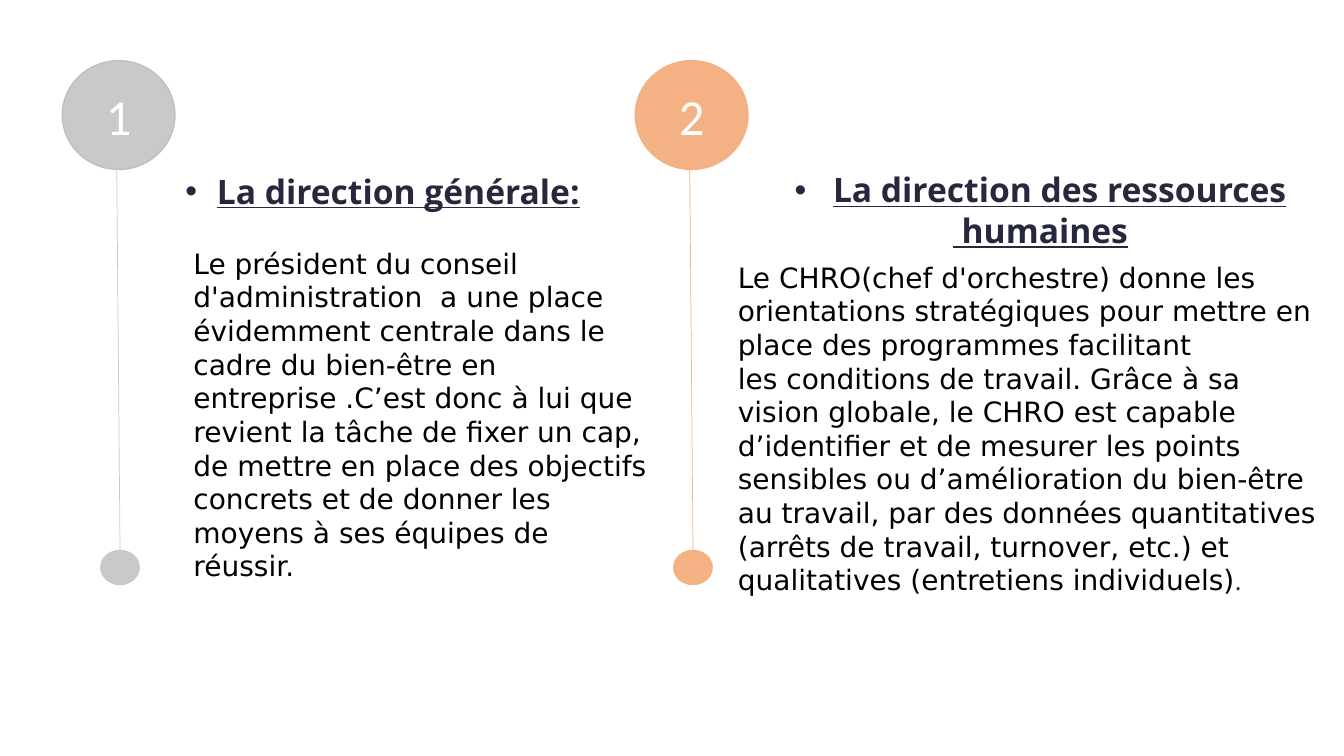
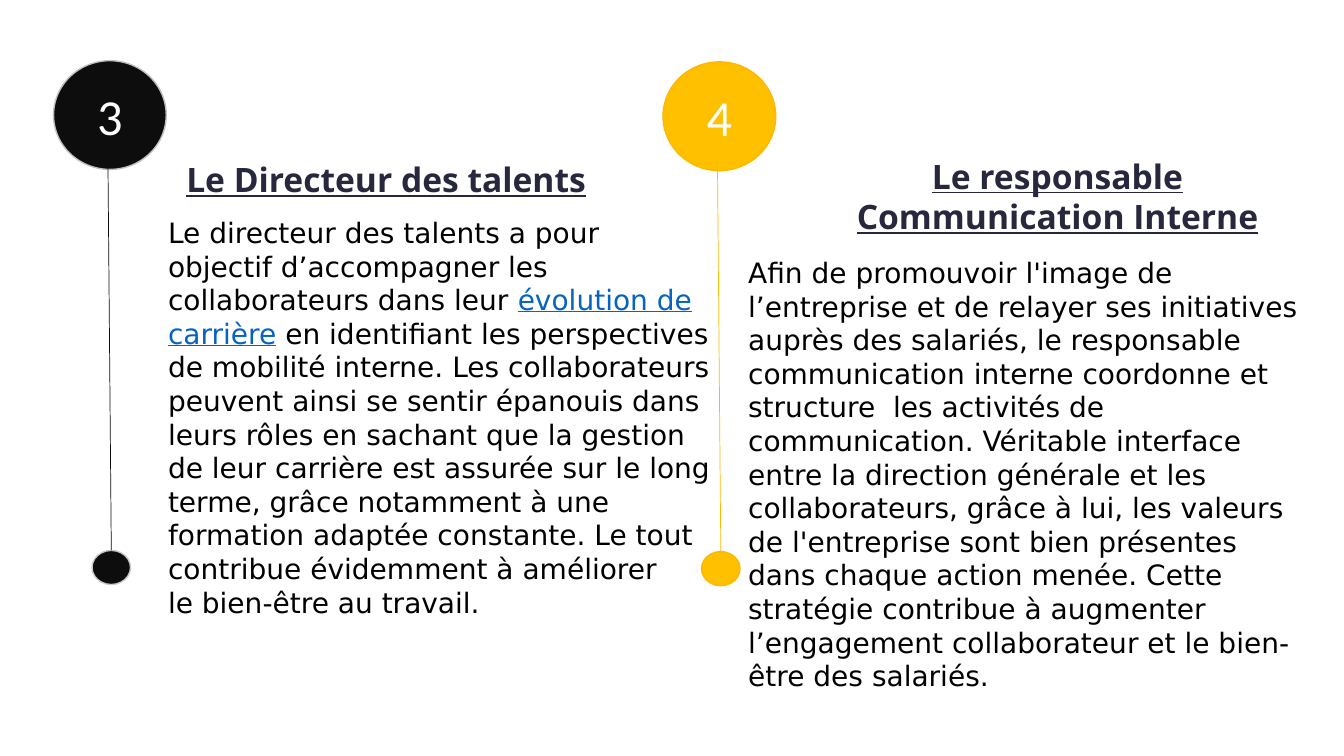
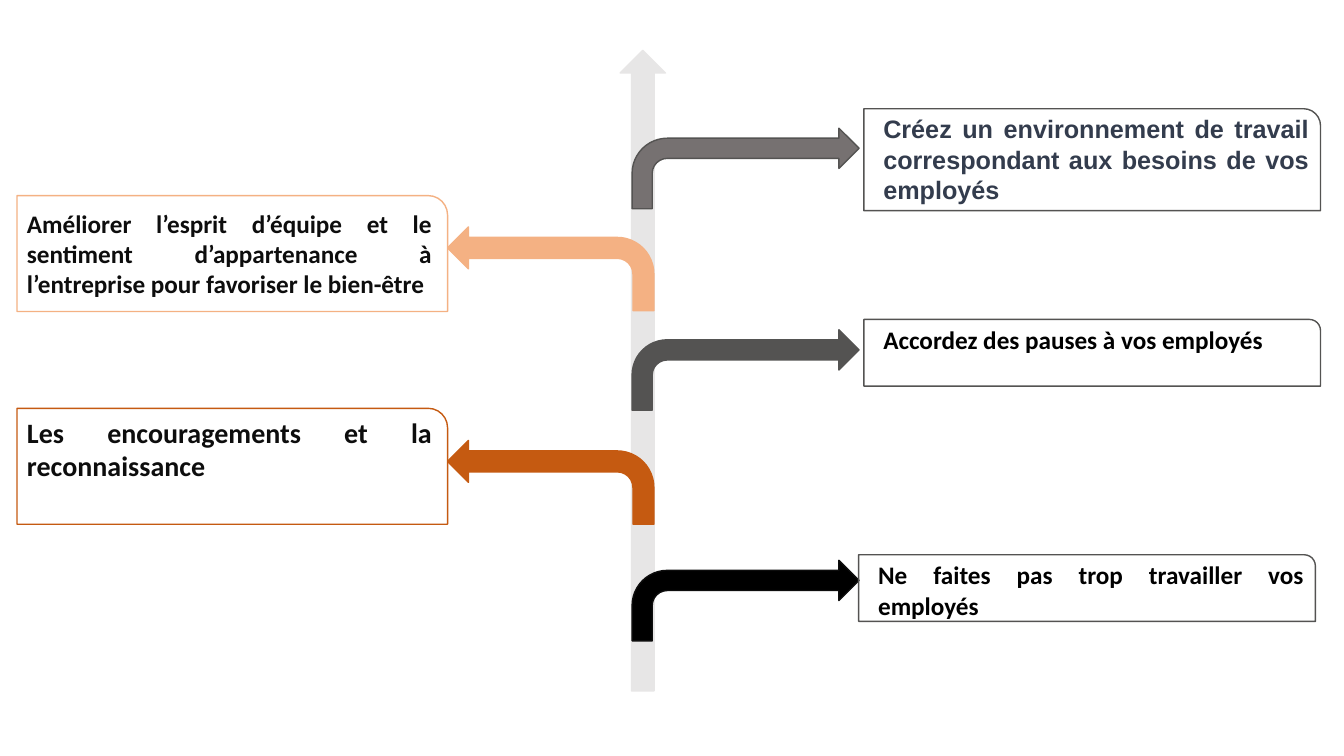
from dataclasses import dataclass
from typing import NamedTuple

from lxml import etree
from pptx import Presentation
from pptx.dml.color import RGBColor
from pptx.enum.shapes import MSO_CONNECTOR, MSO_SHAPE
from pptx.enum.text import MSO_ANCHOR, MSO_AUTO_SIZE, PP_ALIGN
from pptx.oxml.ns import qn
from pptx.util import Cm, Pt

ELLIPSE, UP_ARROW = MSO_SHAPE.OVAL, MSO_SHAPE.UP_ARROW
BENT_ARROW, ROUND_1 = MSO_SHAPE.BENT_ARROW, MSO_SHAPE.ROUND_1_RECTANGLE
STRAIGHT = MSO_CONNECTOR.STRAIGHT
LEFT, CENTER, JUSTIFY = PP_ALIGN.LEFT, PP_ALIGN.CENTER, PP_ALIGN.JUSTIFY
TOP, MIDDLE = MSO_ANCHOR.TOP, MSO_ANCHOR.MIDDLE
FIT_SHAPE, NO_FIT = MSO_AUTO_SIZE.SHAPE_TO_FIT_TEXT, MSO_AUTO_SIZE.NONE
COMPARISON, BLANK = 4, 6  # layouts of the default template
TIE, NO_BREAK_SPACE = "~", chr(160)  # a tie in the texts is a fixed space


class Style(NamedTuple):
    size: int
    font: str
    color: str
    bold: bool = False
    underline: bool = False


class Span(NamedTuple):
    text: str
    style: Style


class Box(NamedTuple):
    """Left, top, width and height in centimetres."""
    x: float
    y: float
    w: float
    h: float


# Theme: colours and type sizes
@dataclass(frozen=True)
class Theme:
    grey: str = "C9C9C9"
    rim: str = "BFBFBF"
    peach: str = "F4B183"
    ink: str = "0D0D0D"
    black: str = "000000"
    gold: str = "FFC000"
    gold_line: str = "FFB700"
    trunk: str = "E7E6E6"
    stone: str = "767171"
    slate: str = "545352"
    rust: str = "C55A11"
    number: Style = Style(36, "Calibri", "FFFFFF")
    heading: Style = Style(24, "Open Sans", "27273D", True, True)
    body: Style = Style(20, "DejaVu Sans", "000000")
    link: Style = Style(20, "DejaVu Sans", "0563C1", underline=True)
    full_stop: Style = Style(18, "Open Sans", "27273D")
    advice: Style = Style(18, "Calibri", "000000", True)
    advice_alt: Style = Style(18, "Arial", "333C4D", True)
    benefit: Style = Style(18, "Calibri", "0D0D0D", True)
    benefit_large: Style = Style(20, "Calibri", "0D0D0D", True)


T = Theme()


@dataclass(frozen=True)
class Role:
    """A numbered marker with a heading and a description."""
    number: str
    x: float
    y: float
    fill: str
    badge_line: str
    stem_line: str
    dot_line: str
    heading: tuple[str, ...]
    heading_box: Box
    body: tuple[Span, ...]
    body_box: Box
    align: PP_ALIGN = LEFT
    bullet: float = 0


@dataclass(frozen=True)
class Branch:
    """A bent arrow that leads from the trunk to a text box."""
    text: Span
    box: Box
    arrow_y: float
    fill: str
    arrow_line: str
    box_line: str
    to_left: bool = False
    anchor: MSO_ANCHOR = TOP


ROLE_SLIDES = (
    (
        Role("1", 1.57, 1.53, T.grey, T.rim, T.grey, T.grey,
             ("La direction générale:",), Box(4.42, 4.17, 11.3, 2.06),
             (Span("Le président du conseil d'administration~~a une place "
                   "évidemment centrale dans le cadre du~bien-être en "
                   "entreprise .C’est donc à lui que revient la tâche de "
                   "fixer un cap, de mettre en place des objectifs concrets "
                   "et de donner les moyens à ses équipes de réussir.",
                   T.body),),
             Box(4.62, 6.08, 11.96, 7.09), bullet=0.79),
        Role("2", 16.01, 1.53, T.peach, T.peach, T.peach, T.peach,
             ("La direction des ressources", "~humaines"),
             Box(17.76, 4.14, 16.92, 2.31),
             (Span("Le CHRO(chef d'orchestre) donne les orientations "
                   "stratégiques pour mettre en place des programmes "
                   "facilitant les~conditions de travail. Grâce à sa vision "
                   "globale, le CHRO est capable d’identifier et de mesurer "
                   "les points sensibles ou d’amélioration du~bien-être au "
                   "travail, par des données quantitatives (arrêts de "
                   "travail, turnover, etc.) et qualitatives (entretiens "
                   "individuels)", T.body),
              Span(".", T.full_stop)),
             Box(18.34, 6.43, 15.16, 7.95), CENTER, 0.97),
    ),
    (
        Role("3", 1.35, 1.53, T.ink, T.rim, T.ink, T.grey,
             ("Le Directeur des talents",), Box(4.44, 3.88, 11.07, 1.27),
             (Span("Le directeur des talents~a pour objectif d’accompagner "
                   "les collaborateurs dans leur~", T.body),
              Span("évolution de carrière", T.link),
              Span("~en identifiant les perspectives de mobilité interne. "
                   "Les collaborateurs peuvent ainsi se sentir épanouis dans "
                   "leurs rôles en sachant que la gestion de leur carrière "
                   "est assurée sur le long terme, grâce notamment à une "
                   "formation adaptée constante. Le tout contribue "
                   "évidemment à améliorer le~bien-être au travail.",
                   T.body)),
             Box(3.98, 5.3, 14.2, 9.65)),
        Role("4", 16.71, 1.56, T.gold, T.gold_line, T.gold_line, T.gold_line,
             ("Le responsable Communication Interne",),
             Box(19.94, 3.79, 13.42, 2.31),
             (Span("Afin de promouvoir l'image de l’entreprise et de relayer "
                   "ses initiatives auprès des salariés, le responsable "
                   "communication interne coordonne et structure~ les "
                   "activités de communication. Véritable interface entre la "
                   "direction générale et les collaborateurs, grâce à lui, "
                   "les valeurs de l'entreprise sont bien présentes dans "
                   "chaque action menée. Cette stratégie contribue à "
                   "augmenter l’engagement collaborateur~et le bien-être des "
                   "salariés.", T.body),),
             Box(18.6, 6.31, 14.66, 8.81), CENTER),
    ),
)

BRANCHES = (
    Branch(Span("Créez un environnement de travail correspondant aux besoins "
                "de vos employés", T.advice_alt),
           Box(21.77, 2.74, 11.51, 2.57), 3.23, T.stone, T.slate, T.slate),
    Branch(Span("Accordez des pauses à vos employés", T.advice),
           Box(21.77, 8.05, 11.51, 1.68), 8.31, T.slate, T.slate, T.slate),
    Branch(Span("Améliorer l’esprit d’équipe et le sentiment d’appartenance à "
                "l’entreprise pour favoriser le bien-être", T.benefit),
           Box(0.43, 4.93, 10.85, 2.92), 5.72, T.peach, T.peach, T.peach,
           to_left=True, anchor=MIDDLE),
    Branch(Span("Les encouragements et la reconnaissance", T.benefit_large),
           Box(0.43, 10.29, 10.85, 2.92), 11.1, T.rust, T.rust, T.rust,
           to_left=True),
    Branch(Span("Ne faites pas trop travailler vos employés", T.advice),
           Box(21.64, 13.98, 11.51, 1.68), 14.12, T.black, T.ink, T.slate),
)


# Helpers
def cm_box(box: Box) -> tuple:
    return tuple(Cm(v) for v in box)


def add_preset(slide, preset, box: Box, fill: str | None, line: str):
    sp = slide.shapes.add_shape(preset, *cm_box(box))
    sp.shadow.inherit = False
    if fill:
        sp.fill.solid()
        sp.fill.fore_color.rgb = RGBColor.from_string(fill)
    else:
        sp.fill.background()
    sp.line.color.rgb = RGBColor.from_string(line)
    sp.line.width = Pt(1)
    return sp


def set_bullet(p, indent: float) -> None:
    """Hang a round bullet on the paragraph, or none when indent is 0."""
    pPr = p._p.get_or_add_pPr()
    pPr.set("marL", str(Cm(indent)))
    pPr.set("indent", str(-Cm(indent)))
    if indent:
        etree.SubElement(pPr, qn("a:buFont"), typeface="Arial")
        etree.SubElement(pPr, qn("a:buChar"), char="•")
    else:
        etree.SubElement(pPr, qn("a:buNone"))


def write(sp, paragraphs, align=LEFT, anchor=TOP, fit=NO_FIT,
          bullet: float = 0) -> None:
    """Fill a shape with paragraphs of spans; only the first has a bullet."""
    tf = sp.text_frame
    tf.word_wrap = True
    tf.auto_size = fit
    tf.vertical_anchor = anchor
    for i, spans in enumerate(paragraphs):
        p = tf.add_paragraph() if i else tf.paragraphs[0]
        set_bullet(p, 0 if i else bullet)
        p.alignment = align
        p.space_before = Pt(0)
        for text, style in spans:
            r = p.add_run()
            r.text = text.replace(TIE, NO_BREAK_SPACE)
            r.font.size = Pt(style.size)
            r.font.name = style.font
            r.font.bold = style.bold
            r.font.underline = style.underline
            r.font.color.rgb = RGBColor.from_string(style.color)


def place(sp, box: Box) -> None:
    sp.left, sp.top, sp.width, sp.height = cm_box(box)


# Slide parts
def draw_marker(slide, role: Role) -> None:
    x, y = role.x, role.y
    badge = add_preset(slide, ELLIPSE, Box(x, y, 2.84, 2.74),
                       role.fill, role.badge_line)
    write(badge, [[Span(role.number, T.number)]], CENTER, MIDDLE)
    dot = add_preset(slide, ELLIPSE, Box(x + 0.97, y + 12.34, 0.97, 0.86),
                     role.fill, role.dot_line)
    stem = slide.shapes.add_connector(STRAIGHT, Cm(x + 1.37), Cm(y + 2.46),
                                      Cm(x + 1.45), Cm(y + 12.34))
    stem.end_connect(dot, 0)
    stem.line.color.rgb = RGBColor.from_string(role.stem_line)
    stem.line.width = Pt(0.5)
    etree.SubElement(stem._element.spPr, qn("a:effectLst"))


def draw_roles(prs, roles: tuple[Role, ...]) -> None:
    slide = prs.slides.add_slide(prs.slide_layouts[COMPARISON])
    title, *slots = slide.placeholders
    title._element.getparent().remove(title._element)
    for role, heading, body in zip(roles, slots[::2], slots[1::2]):
        draw_marker(slide, role)
        place(heading, role.heading_box)
        write(heading, [[Span(t, T.heading)] for t in role.heading],
              role.align, fit=FIT_SHAPE, bullet=role.bullet)
        place(body, role.body_box)
        write(body, [role.body], fit=FIT_SHAPE)


def draw_branch(slide, branch: Branch) -> None:
    box = branch.box
    if branch.to_left:
        arrow_box = Box(box.x + box.w, branch.arrow_y, 5.2, 2.11)
    else:
        arrow_box = Box(15.93, branch.arrow_y, 5.72, 2.03)
    arrow = add_preset(slide, BENT_ARROW, arrow_box,
                       branch.fill, branch.arrow_line)
    frame = add_preset(slide, ROUND_1, box, None, branch.box_line)
    if branch.to_left:
        arrow._element.spPr.xfrm.set("flipH", "1")
        frame.text_frame.margin_top = Cm(0.17)
        frame.text_frame.margin_bottom = Cm(0.17)
        write(frame, [[branch.text]], JUSTIFY, branch.anchor)
    else:
        label = slide.shapes.add_textbox(
            *cm_box(Box(box.x + 0.24, box.y, 11.23, box.h)))
        write(label, [[branch.text]], JUSTIFY, branch.anchor, FIT_SHAPE)


def draw_tree(prs) -> None:
    slide = prs.slides.add_slide(prs.slide_layouts[BLANK])
    add_preset(slide, UP_ARROW, Box(15.63, 1.27, 1.14, 16.14),
               T.trunk, T.trunk)
    for branch in BRANCHES:
        draw_branch(slide, branch)


def main() -> None:
    prs = Presentation()
    prs.slide_width, prs.slide_height = Cm(33.87), Cm(19.05)
    for roles in ROLE_SLIDES:
        draw_roles(prs, roles)
    draw_tree(prs)
    prs.save("out.pptx")


if __name__ == "__main__":
    main()
